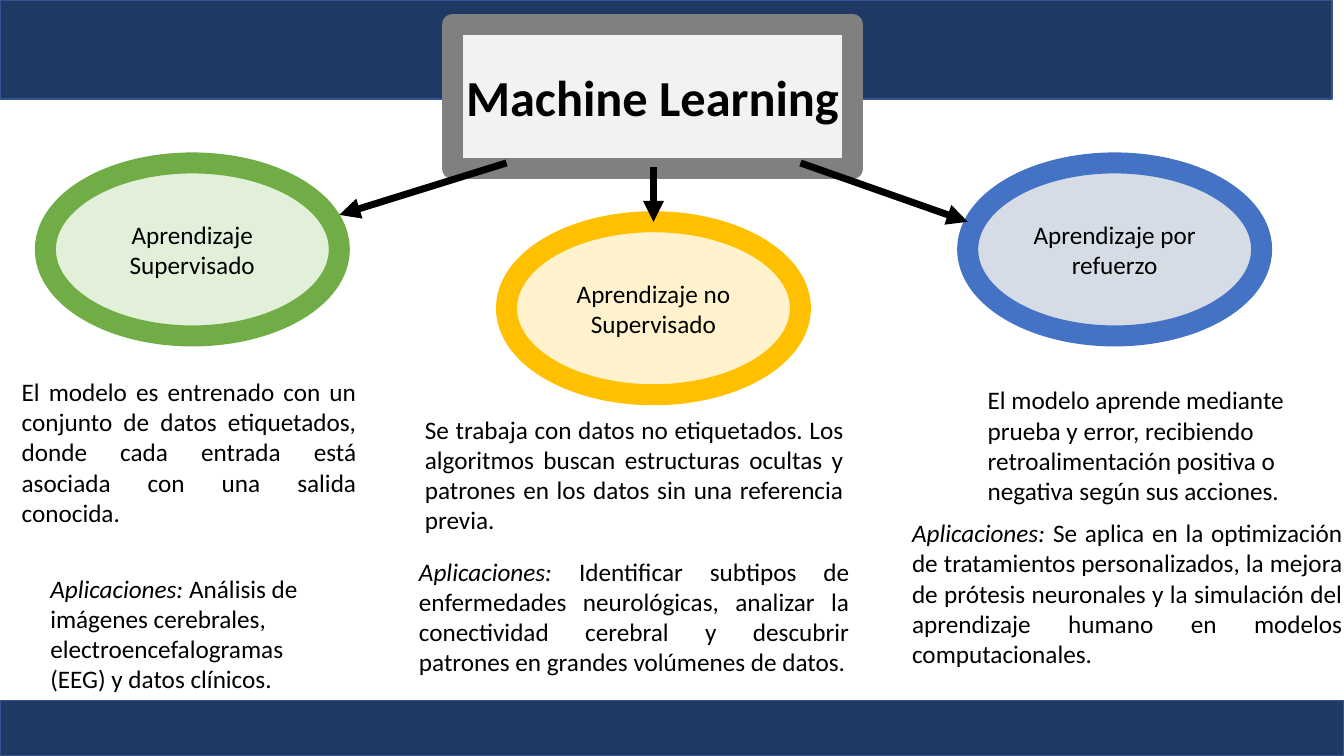
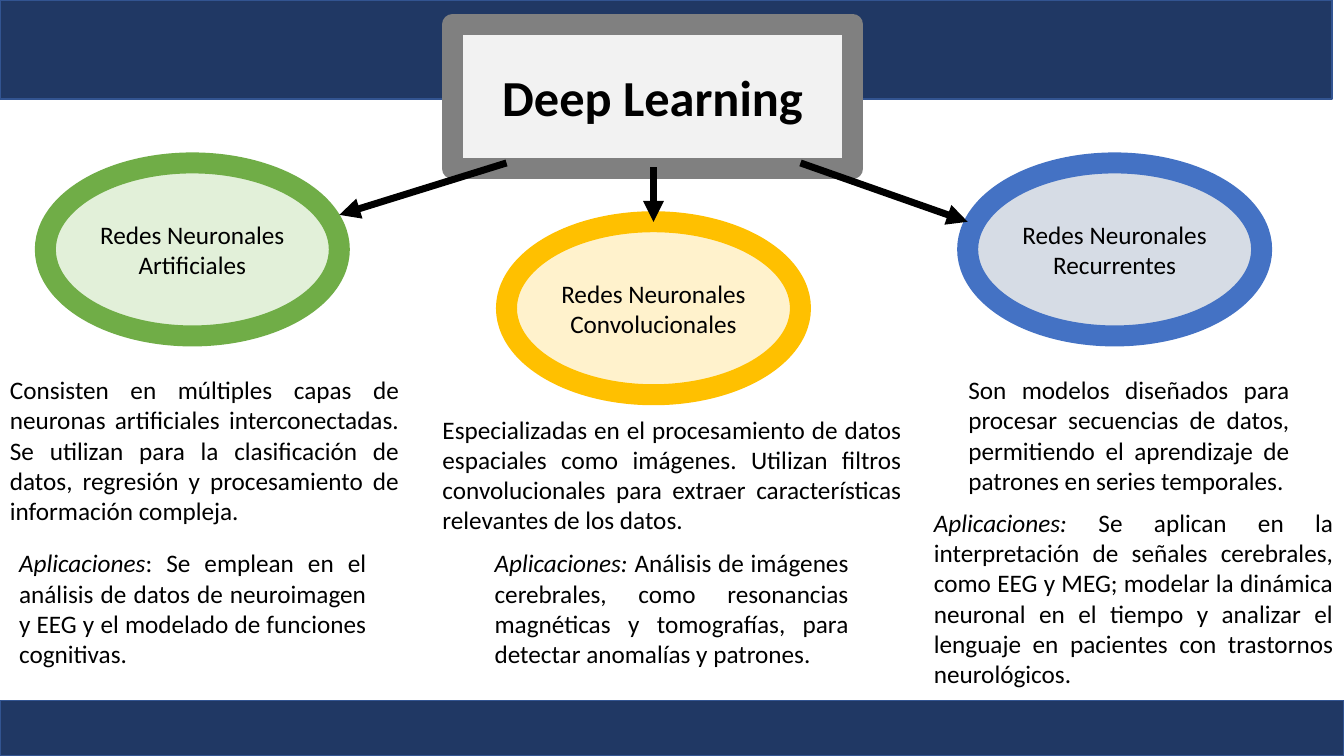
import collections

import pptx
import pptx.dml.color
import pptx.enum.shapes
import pptx.enum.text
import pptx.oxml.ns
import pptx.util
from lxml import etree

SHAPE = pptx.enum.shapes.MSO_SHAPE
ALIGN = pptx.enum.text.PP_ALIGN
FIT = pptx.enum.text.MSO_AUTO_SIZE
MIDDLE = pptx.enum.text.MSO_ANCHOR.MIDDLE
qn = pptx.oxml.ns.qn

WIDTH, HEIGHT = pptx.util.Inches(13.33), pptx.util.Inches(7.5)
COLUMNS, ROWS = 160, 90
FONT = "Calibri"
RING, ARROW = 15, 5
LINE_ROWS, MARGIN_ROWS = 3.63, 1.2
COLORS = {
    "band": "203864", "band_edge": "325491", "text": "000000",
    "title": "F2F2F2", "title_edge": "808080",
    "green": "E2F0D9", "green_edge": "70AD47",
    "yellow": "FFF2CC", "yellow_edge": "FFC000",
    "blue": "D6DCE5", "blue_edge": "4472C4",
}

Box = collections.namedtuple("Box", "left top width height")
Note = collections.namedtuple("Note", "left top width lines align lead text")
Topic = collections.namedtuple("Topic", "name summary uses")

TOP_BAND = Box(0, 0, 158.6, 11.8)
BOTTOM_BAND = Box(0, 83.4, COLUMNS, 6.6)
TITLE = Box(53.9, 2.9, 47.6, 17.2)
OVAL_TOPS = {"green": 19.4, "yellow": 26.4, "blue": 19.4}
OVALS = {name: Box(5.4 + 54.9 * place, top, 35, 20.6)
         for place, (name, top) in enumerate(OVAL_TOPS.items())}

SLIDES = {
    "Machine Learning": [
        Topic("Aprendizaje Supervisado",
              Note(1.4, 44.2, 42.2, 5, ALIGN.JUSTIFY, "",
                   "El modelo es entrenado con un conjunto de datos etiquetados, donde cada "
                   "entrada está asociada con una salida conocida."),
              Note(4.8, 67.6, 36.1, 4, ALIGN.LEFT, "Aplicaciones:",
                   " Análisis de imágenes cerebrales, electroencefalogramas (EEG) y datos "
                   "clínicos.")),
        Topic("Aprendizaje no Supervisado",
              Note(49.4, 48.7, 52.2, 4, ALIGN.JUSTIFY, "",
                   "Se trabaja con datos no etiquetados. Los algoritmos buscan estructuras "
                   "ocultas y patrones en los datos sin una referencia previa."),
              Note(48.7, 65.6, 53.6, 4, ALIGN.JUSTIFY, "Aplicaciones:",
                   " Identificar subtipos de enfermedades neurológicas, analizar la "
                   "conectividad cerebral y descubrir patrones en grandes volúmenes de datos.")),
        Topic("Aprendizaje por refuerzo",
              Note(116.4, 45.2, 38.3, 4, ALIGN.LEFT, "",
                   "El modelo aprende mediante prueba y error, recibiendo retroalimentación "
                   "positiva o negativa según sus acciones."),
              Note(107.4, 61, 53.6, 5, ALIGN.JUSTIFY, "Aplicaciones:",
                   " Se aplica en la optimización de tratamientos personalizados, la mejora "
                   "de prótesis neuronales y la simulación del aprendizaje humano en modelos "
                   "computacionales.")),
    ],
    "Deep Learning": [
        Topic("Redes Neuronales Artificiales",
              Note(0, 44, 48.7, 5, ALIGN.JUSTIFY, "",
                   "Consisten en múltiples capas de neuronas artificiales interconectadas. "
                   "Se utilizan para la clasificación de datos, regresión y procesamiento de "
                   "información compleja."),
              Note(1.1, 64.6, 43.7, 4, ALIGN.JUSTIFY, "Aplicaciones",
                   ": Se emplean en el análisis de datos de neuroimagen y EEG y el modelado "
                   "de funciones cognitivas.")),
        Topic("Redes Neuronales Convolucionales",
              Note(51.5, 48.7, 57, 4, ALIGN.JUSTIFY, "",
                   "Especializadas en el procesamiento de datos espaciales como imágenes. "
                   "Utilizan filtros convolucionales para extraer características relevantes "
                   "de los datos."),
              Note(57.7, 64.6, 44.5, 4, ALIGN.JUSTIFY, "Aplicaciones:",
                   " Análisis de imágenes cerebrales, como resonancias magnéticas y "
                   "tomografías, para detectar anomalías y patrones.")),
        Topic("Redes Neuronales Recurrentes",
              Note(114.1, 44, 40.6, 4, ALIGN.JUSTIFY, "",
                   "Son modelos diseñados para procesar secuencias de datos, permitiendo el "
                   "aprendizaje de patrones en series temporales."),
              Note(110, 59.8, 49.9, 6, ALIGN.JUSTIFY, "Aplicaciones:",
                   " Se aplican en la interpretación de señales cerebrales, como EEG y MEG; "
                   "modelar la dinámica neuronal en el tiempo y analizar el lenguaje en "
                   "pacientes con trastornos neurológicos.")),
    ],
}


def across(columns):
    """Turn grid columns into a length."""
    return round(WIDTH * columns / COLUMNS)


def down(rows):
    """Turn grid rows into a length."""
    return round(HEIGHT * rows / ROWS)


def measure(box):
    """Turn a grid box into left, top, width and height."""
    return across(box.left), down(box.top), across(box.width), down(box.height)


def rgb(name):
    """Look up a named colour."""
    return pptx.dml.color.RGBColor.from_string(COLORS[name])


def paint(shape, name, edge_width):
    """Fill and outline a shape with a colour and its edge colour."""
    shape.fill.solid()
    shape.fill.fore_color.rgb = rgb(name)
    shape.line.color.rgb = rgb(name + "_edge")
    shape.line.width = pptx.util.Pt(edge_width)


def style(para, size, align, bold=False):
    """Set the font and alignment of a paragraph."""
    para.alignment = align
    para.font.name = FONT
    para.font.size = pptx.util.Pt(size)
    para.font.bold = bold
    para.font.color.rgb = rgb("text")


def add_figure(page, kind, box, color, edge_width):
    """Draw a flat preset shape in a grid box."""
    shape = page.shapes.add_shape(kind, *measure(box))
    shape.shadow.inherit = False
    paint(shape, color, edge_width)
    return shape


def add_bands(page, master):
    """Draw the two bands and move them to the back of the master."""
    for place, box in enumerate((BOTTOM_BAND, TOP_BAND)):
        band = add_figure(page, SHAPE.RECTANGLE, box, "band", 1)
        master.shapes.element.insert(2 + place, band.element)


def add_title(page, text, box):
    """Turn the title placeholder into a ringed pill."""
    title = page.shapes.title
    title.left, title.top, title.width, title.height = measure(box)
    outline = etree.SubElement(title.element.spPr, qn("a:prstGeom"), prst="roundRect")
    guides = etree.SubElement(outline, qn("a:avLst"))
    etree.SubElement(guides, qn("a:gd"), name="adj", fmla="val 48800")
    paint(title, "title", RING)
    frame = title.text_frame
    frame.text = text
    frame.word_wrap = True
    frame.auto_size = FIT.NONE
    frame.vertical_anchor = MIDDLE
    style(frame.paragraphs[0], 36, ALIGN.CENTER, bold=True)


def add_oval(page, text, color, box):
    """Draw a ringed ellipse naming one topic."""
    frame = add_figure(page, SHAPE.OVAL, box, color, RING).text_frame
    frame.text = text
    frame.word_wrap = True
    frame.vertical_anchor = MIDDLE
    style(frame.paragraphs[0], 18, ALIGN.CENTER)


def add_arrow(page, start, end):
    """Draw a thick arrow between two grid points."""
    arrow = page.shapes.add_connector(
        pptx.enum.shapes.MSO_CONNECTOR.STRAIGHT,
        across(start[0]), down(start[1]), across(end[0]), down(end[1]))
    arrow.line.color.rgb = rgb("text")
    arrow.line.width = pptx.util.Pt(ARROW)
    properties = arrow.element.spPr
    etree.SubElement(properties.find(qn("a:ln")), qn("a:tailEnd"), type="triangle")
    etree.SubElement(properties, qn("a:effectLst"))


def add_arrows(page, left, middle, right):
    """Join the title to the three ellipses."""
    center = middle.left + middle.width / 2
    middle_end = middle.left + middle.width
    add_arrow(page, (middle.left, left.top),
              (left.left + left.width, left.top + 0.3 * left.height))
    add_arrow(page, (middle_end, right.top), (right.left, middle.top))
    add_arrow(page, (center, left.top + 0.5), (center, middle.top))


def add_note(page, note):
    """Write a paragraph with an optional italic lead."""
    box = Box(note.left, note.top, note.width, note.lines * LINE_ROWS + MARGIN_ROWS)
    frame = page.shapes.add_textbox(*measure(box)).text_frame
    frame.word_wrap = True
    frame.auto_size = FIT.SHAPE_TO_FIT_TEXT
    para = frame.paragraphs[0]
    style(para, 18, note.align)
    if note.lead:
        span = para.add_run()
        span.text = note.lead
        span.font.italic = True
    para.add_run().text = note.text


def add_map(page, heading, topics):
    """Lay out a title that branches into three topics."""
    add_title(page, heading, TITLE)
    for topic, (color, box) in zip(topics, OVALS.items()):
        add_oval(page, topic.name, color, box)
        add_note(page, topic.summary)
        add_note(page, topic.uses)
    add_arrows(page, *OVALS.values())


def main():
    """Build and save the deck."""
    deck = pptx.Presentation()
    deck.slide_width, deck.slide_height = WIDTH, HEIGHT
    layout = deck.slide_layouts.get_by_name("Title Only")
    pages = [deck.slides.add_slide(layout) for _ in SLIDES]
    add_bands(pages[0], deck.slide_master)
    for page, (heading, topics) in zip(pages, SLIDES.items()):
        add_map(page, heading, topics)
    deck.save("out.pptx")


if __name__ == "__main__":
    main()
